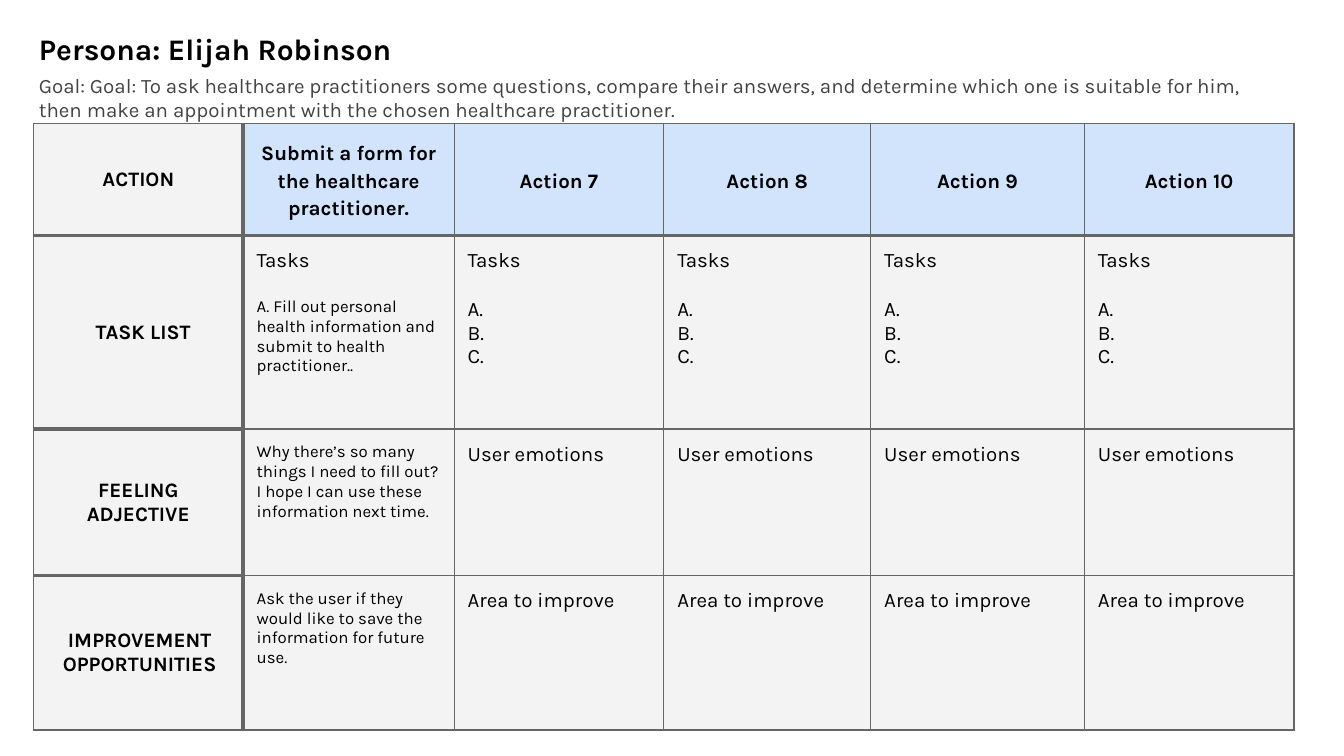
from lxml.etree import SubElement
from pptx import Presentation
from pptx.dml.color import RGBColor
from pptx.enum.text import MSO_ANCHOR as Anchor, PP_ALIGN as Align
from pptx.oxml.ns import qn
from pptx.util import Inches, Pt

FONT = "Karla"
BLACK, GOAL_GRAY, BORDER_GRAY = "000000", "434343", "666666"
CELL_GRAY, HEADER_BLUE = "F3F3F3", "D2E3FC"
THIN, THICK = 0.75, 2.25

COLUMN_WIDTHS = [1.56, 1.57, 1.56, 1.54, 1.59, 1.56]
ROW_HEIGHTS = [0.78, 1.44, 1.09, 1.15]
ROW_LABELS = ["ACTION", "TASK LIST", "FEELING ADJECTIVE", "IMPROVEMENT OPPORTUNITIES"]
FIRST_ACTION = [
    ["Submit a form for the healthcare practitioner."],
    ["Tasks", "A. Fill out personal health information and submit to health practitioner.."],
    ["Why there’s so many things I need to fill out?",
     "I hope I can use these information next time."],
    ["Ask the user if they would like to save the information for future use."],
]
EMPTY_ACTION = [["Tasks", "A.", "B.", "C."], ["User emotions"], ["Area to improve"]]


def rgb(value):
    return RGBColor.from_string(value)


def format_text(paragraph, size, bold=False, color=BLACK):
    formats = {"name": FONT, "size": Pt(size), "bold": bold}
    for name, value in formats.items():
        setattr(paragraph.font, name, value)
    paragraph.font.color.rgb = rgb(color)


def format_frame(frame):
    """Set the margins, wrap and anchor of a text frame or table cell."""
    margins = ("margin_left", "margin_top", "margin_right", "margin_bottom")
    formats = dict.fromkeys(margins, Inches(0.1))
    formats["vertical_anchor"] = Anchor.TOP
    if hasattr(frame, "word_wrap"):
        formats["word_wrap"] = True
    for name, value in formats.items():
        setattr(frame, name, value)


def add_title(slide, text):
    title = slide.shapes.title
    place = {"left": 0.19, "top": 0.13, "width": 2.85, "height": 0.44}
    for name, value in place.items():
        setattr(title, name, Inches(value))
    format_frame(title.text_frame)
    title.text_frame.text = text
    paragraph = title.text_frame.paragraphs[0]
    paragraph.alignment = Align.LEFT
    format_text(paragraph, 16, bold=True)


def add_goal(slide, text):
    box = slide.shapes.add_textbox(Inches(0.19), Inches(0.44), Inches(9.28), Inches(0.3))
    format_frame(box.text_frame)
    box.text_frame.text = text
    format_text(box.text_frame.paragraphs[0], 11, color=GOAL_GRAY)


def set_borders(cell, row, column):
    """Thick lines follow the label column and the header row."""
    last_row = len(ROW_HEIGHTS) - 1
    thick = {
        "L": column == 1,
        "R": column == 0,
        "T": row == 1 or (column == 0 and row > 0),
        "B": row == 0 or (column == 0 and row < last_row),
    }
    properties = cell._tc.get_or_add_tcPr()
    for side, is_thick in thick.items():
        width = Pt(THICK if is_thick else THIN)
        line = SubElement(properties, qn(f"a:ln{side}"), w=str(width))
        fill = SubElement(line, qn("a:solidFill"))
        SubElement(fill, qn("a:srgbClr"), val=BORDER_GRAY)


def cell_lines(row, column):
    if column == 0:
        return [ROW_LABELS[row]]
    if column == 1:
        return FIRST_ACTION[row]
    return [f"Action {column + 5}"] if row == 0 else EMPTY_ACTION[row - 1]


def fill_cell(cell, row, column):
    set_borders(cell, row, column)
    is_header = row == 0 and column > 0
    is_heading = row == 0 or column == 0
    cell.fill.solid()
    cell.fill.fore_color.rgb = rgb(HEADER_BLUE if is_header else CELL_GRAY)
    format_frame(cell)
    if is_heading:
        cell.vertical_anchor = Anchor.MIDDLE

    lines = cell_lines(row, column)
    cell.text = "\n".join(lines)
    for line, paragraph in zip(lines, cell.text_frame.paragraphs):
        paragraph.alignment = Align.CENTER if is_heading else Align.LEFT
        if is_header:
            paragraph.line_spacing = 1.15
        if line == "Tasks":
            paragraph.space_after = Pt(13)
        is_answer = column == 1 and row > 0 and line != "Tasks"
        format_text(paragraph, 9 if is_answer else 11, bold=is_heading)


def add_journey_table(slide):
    frame = slide.shapes.add_table(
        len(ROW_HEIGHTS), len(COLUMN_WIDTHS), Inches(0.25), Inches(0.92),
        Inches(sum(COLUMN_WIDTHS)), Inches(sum(ROW_HEIGHTS)))
    table = frame.table
    table.first_row = table.horz_banding = False
    for column, width in zip(table.columns, COLUMN_WIDTHS):
        column.width = Inches(width)
    for row, height in zip(table.rows, ROW_HEIGHTS):
        row.height = Inches(height)
    for row in range(len(ROW_HEIGHTS)):
        for column in range(len(COLUMN_WIDTHS)):
            fill_cell(table.cell(row, column), row, column)

    task_label = table.cell(1, 0).text_frame.paragraphs[0]
    indents = {"marL": Inches(0.19), "indent": Inches(-0.12)}
    for name, value in indents.items():
        task_label._p.get_or_add_pPr().set(name, str(value))
    table.cell(3, 0).margin_left = Inches(0.12)


def main():
    presentation = Presentation()
    presentation.slide_width = Inches(10)
    presentation.slide_height = presentation.slide_width * 9 // 16
    slide = presentation.slides.add_slide(presentation.slide_layouts[5])
    add_title(slide, "Persona: Elijah Robinson")
    add_goal(slide, "Goal: Goal: To ask healthcare practitioners some questions, compare their "
                    "answers, and determine which one is suitable for him, then make an "
                    "appointment with the chosen healthcare practitioner.")
    add_journey_table(slide)
    presentation.save("out.pptx")


if __name__ == "__main__":
    main()
